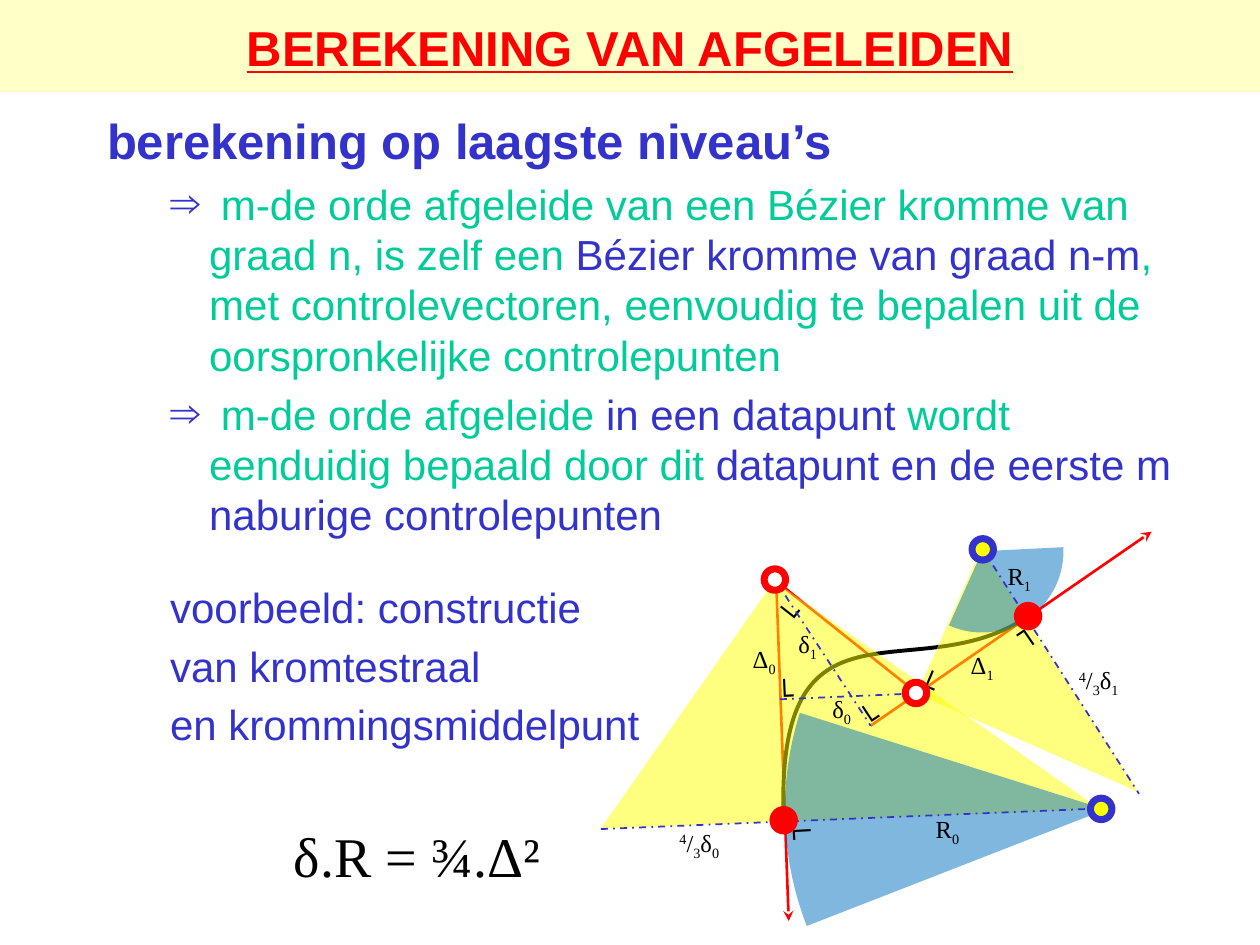
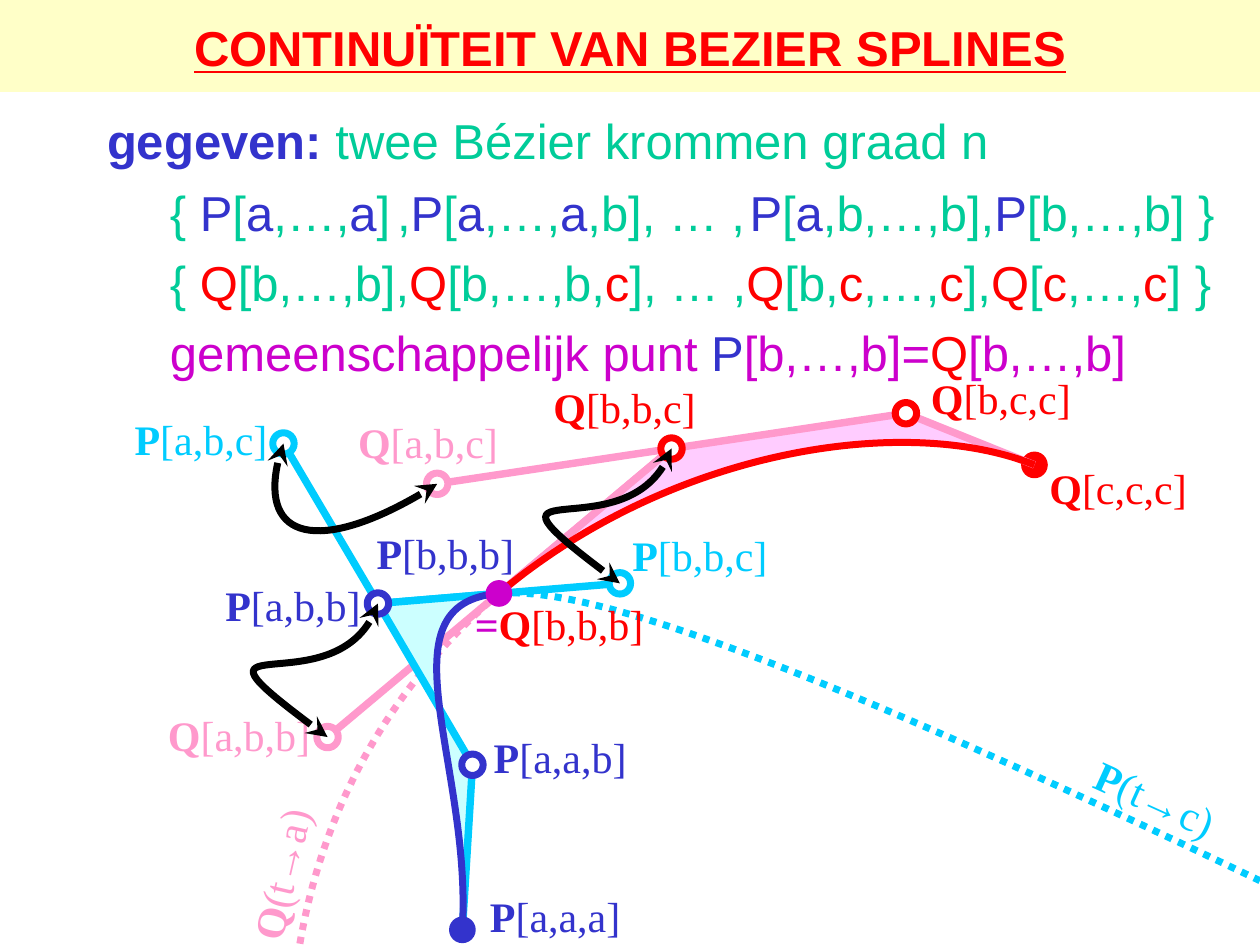
from itertools import groupby

from lxml import etree
from pptx import Presentation
from pptx.dml.color import RGBColor
from pptx.enum import dml, shapes, text
from pptx.oxml import ns
from pptx.util import Inches, Pt

BAND = RGBColor(0xFF, 0xFF, 0xC8)
RED = RGBColor(0xFF, 0, 0)
BLUE = RGBColor(0x33, 0x33, 0xCC)
GREEN = RGBColor(0, 0xCC, 0x99)
BLACK = RGBColor(0, 0, 0)
WHITE = RGBColor(0xFF, 0xFF, 0xFF)
YELLOW = RGBColor(0xFF, 0xFF, 0)
AZURE = RGBColor(0, 0x70, 0xC0)
CYAN = RGBColor(0, 0xCC, 0xFF)
PINK = RGBColor(0xFF, 0x99, 0xCC)
PLUM = RGBColor(0xCC, 0, 0xCC)
ICE = RGBColor(0xCC, 0xFF, 0xFF)
ROSE = RGBColor(0xFF, 0xCC, 0xFF)

SANS, SERIF = "Arial", "Times New Roman"
LEFT, MID, RIGHT = text.PP_ALIGN.LEFT, text.PP_ALIGN.CENTER, text.PP_ALIGN.RIGHT
KIND = shapes.MSO_SHAPE
DASH = dml.MSO_LINE


def add(node, tag, **attrs):
    return etree.SubElement(node, ns.qn(tag), attrs)


def write(para, parts, size=24, font=SERIF, align=LEFT, bold=False, line=False):
    para.alignment = align
    for words, tint, *more in parts:
        form = more[0] if more else {}
        run = para.add_run()
        run.text = words
        run.font.name = font
        run.font.size = Pt(form.get("size", size))
        run.font.bold = form.get("bold", bold)
        run.font.underline = line
        run.font.color.rgb = tint
        if form.get("base"):
            run._r.get_or_add_rPr().set("baseline", str(form["base"] * 1000))


def item(para, parts, level=1, mark=None, gap=None, size=24, **form):
    write(para, parts, size=size, font=SANS, **form)
    para.level = level
    para.space_before = Pt(gap or size * 0.2)
    props = para._p.get_or_add_pPr()
    edge, hang = ((0.38, -0.38), (0.81, -0.31))[level]
    props.set("marL", str(Inches(edge)))
    props.set("indent", str(Inches(hang)))
    if mark:
        add(add(props, "a:buClr"), "a:srgbClr", val=str(BLUE))
        add(props, "a:buChar", char=mark)
    else:
        add(props, "a:buNone")


def tint(words, marks, base):
    return [("".join(run), hue) for hue, run in groupby(words, lambda c: marks.get(c, base))]


def maths(code):
    parts, base = [], 0
    for char in code:
        if char in "^_":
            base = 30 if char == "^" else -25
        else:
            parts.append((char, BLACK, {"base": base}))
            base = 0
    return parts


def name(code, hue):
    return [(code[0], hue, {"bold": True}), (code[1:], hue)]


def stroke(shape, hue, width, dash=None, head=False, tail=False):
    shape.line.color.rgb = hue
    shape.line.width = Pt(width)
    if dash:
        shape.line.dash_style = dash
    line = shape.line._get_or_add_ln()
    for tag, shown in (("a:headEnd", head), ("a:tailEnd", tail)):
        if shown:
            add(line, tag, type="stealth")


class Pane:
    def __init__(self, slide, left, top):
        self.shapes, self.left, self.top = slide.shapes, left, top

    def spot(self, x, y):
        return Inches(self.left + x), Inches(self.top + y)

    def label(self, box, parts, turn=0, wrap=True, **form):
        x, y, wide, high = box
        frame = self.shapes.add_textbox(*self.spot(x, y), Inches(wide), Inches(high))
        frame.rotation = turn
        frame.text_frame.word_wrap = wrap
        write(frame.text_frame.paragraphs[0], parts, **form)

    def line(self, start, end, hue, width, **form):
        link = self.shapes.add_connector(
            shapes.MSO_CONNECTOR.STRAIGHT, *self.spot(*start), *self.spot(*end))
        stroke(link, hue, width, **form)
        add(link.element.spPr, "a:effectLst")

    def curve(self, points, hue=None, width=4, fill=None, **form):
        pen = self.shapes.build_freeform(*self.spot(*points[0]))
        pen.add_line_segments([self.spot(*p) for p in points[1:]], close=bool(fill))
        shape = pen.convert_to_shape()
        shape.shadow.inherit = False
        trail = next(shape.element.iter(ns.qn("a:path")))
        steps = trail.findall(ns.qn("a:lnTo"))[:3]
        bend = etree.Element(ns.qn("a:cubicBezTo"))
        steps[0].addprevious(bend)
        for step in steps:
            bend.append(step[0])
            trail.remove(step)
        if fill:
            shape.fill.solid()
            shape.fill.fore_color.rgb = fill
            shape.line.fill.background()
        else:
            shape.fill.background()
            stroke(shape, hue, width, **form)

    def dot(self, centre, fill, hue, width=4, size=0.17):
        x, y = centre
        shape = self.shapes.add_shape(
            KIND.OVAL, *self.spot(x - size / 2, y - size / 2), Inches(size), Inches(size))
        shape.shadow.inherit = False
        shape.fill.solid()
        shape.fill.fore_color.rgb = fill
        stroke(shape, hue, width)

    def glass(self, kind, box, hue, turn, flip="", angles=()):
        x, y, wide, high = box
        shape = self.shapes.add_shape(kind, *self.spot(x, y), Inches(wide), Inches(high))
        shape.shadow.inherit = False
        shape.rotation = turn
        for axis in flip:
            shape.element.spPr.xfrm.set("flip" + axis, "1")
        for place, angle in enumerate(angles):
            shape.adjustments[place] = angle
        shape.fill.solid()
        shape.fill.fore_color.rgb = hue
        add(next(shape.element.spPr.iter(ns.qn("a:srgbClr"))), "a:alpha", val="50000")
        shape.line.fill.background()


def place(shape, left, top, wide, high):
    shape.left, shape.top = Inches(left), Inches(top)
    shape.width, shape.height = Inches(wide), Inches(high)
    shape.text_frame.word_wrap = True
    shape.text_frame.auto_size = text.MSO_AUTO_SIZE.NONE
    return shape.text_frame


def start(deck, title):
    slide = deck.slides.add_slide(deck.slide_layouts[1])
    frame = place(slide.shapes.title, 0, 0, 10, 0.75)
    frame.vertical_anchor = text.MSO_ANCHOR.MIDDLE
    write(frame.paragraphs[0], [(title, RED)], size=28, font=SANS, align=MID, bold=True, line=True)
    return slide


def band(deck, slide):
    bar = slide.shapes.add_shape(KIND.RECTANGLE, 0, 0, deck.slide_width, Inches(0.73))
    bar.shadow.inherit = False
    bar.fill.solid()
    bar.fill.fore_color.rgb = BAND
    bar.line.fill.background()
    deck.slide_master.shapes.element.insert(2, bar.element)


def theory(slide, box):
    frame = place(slide.placeholders[1], *box)
    item(frame.paragraphs[0], [("berekening op laagste niveau’s", BLUE)], level=0, size=28, bold=True)
    rules = (
        [(" m-de orde afgeleide van een Bézier kromme van graad n, is zelf een ", GREEN),
         ("Bézier kromme van graad n-m", BLUE),
         (", met controlevectoren, eenvoudig te bepalen uit de oorspronkelijke controlepunten", GREEN)],
        [(" m-de orde afgeleide ", GREEN), ("in een datapunt", BLUE),
         (" wordt eenduidig bepaald door dit ", GREEN),
         ("datapunt en de eerste m naburige controlepunten", BLUE)])
    for rule in rules:
        item(frame.add_paragraph(), rule, mark="⇒")
    lines = "voorbeeld: constructie", "van kromtestraal", "en krommingsmiddelpunt"
    for words, gap in zip(lines, (24, None, None)):
        item(frame.add_paragraph(), [(words, BLUE)], gap=gap)


def radius(slide, left, top):
    pane = Pane(slide, left, top)
    first, last = (2.22, 2.51), (4.16, 0.89)
    near, far = (2.15, 0.6), (3.27, 1.5)
    hub, peak = (4.74, 2.42), (3.8, 0.36)

    def axis(a, b):
        pane.line(a, b, BLUE, 1, dash=DASH.DASH_DOT)

    def tag(x, y, wide, code):
        pane.label((x, y, wide, 0.34), maths(code), size=14, align=MID, wrap=False)

    def angle(x, y, turn):
        pane.label((x, y, 0.31, 0.5), [("˪", BLACK)], turn=turn, align=MID, wrap=False)

    pane.line((2.16, 0.6), (2.26, 3.31), RED, 1.5, tail=True)
    pane.line((2.91, 1.76), (5.14, 0.22), RED, 1.5, tail=True)
    pane.line((2.12, 0.58), (3.34, 1.55), RED, 1.5)
    pane.curve([first, near, far, last], BLACK, 2.25)

    pane.glass(KIND.RIGHT_TRIANGLE, (1.55, 0.92, 2.4, 3.16), YELLOW, 305, "HV")
    pane.glass(KIND.PIE, (2.23, -0.12, 5.09, 5.09), AZURE, 88, angles=(42.43, 65.73))
    tag(3.32, 2.41, 0.4, "R_0")
    tag(1.28, 2.52, 0.54, "^4/_3δ_0")
    angle(2.07, 0.55, 307.9)
    pane.dot(hub, YELLOW, BLUE)
    axis((2.19, 1.55), (3.35, 1.5))
    tag(2.5, 1.46, 0.36, "δ_0")
    tag(1.87, 1.06, 0.39, "Δ_0")
    angle(2.1, 1.15, 357.3)
    axis((0.77, 2.58), (4.65, 2.42))
    angle(2.27, 2.37, 86.9)

    pane.glass(KIND.RIGHT_TRIANGLE, (3.78, 0.36, 1.26, 1.92), YELLOW, 293.9, "V")
    pane.glass(KIND.PIE, (3.15, -0.27, 1.29, 1.29), AZURE, 325, angles=(19.28, 89.49))
    axis(peak, (5.04, 2.3))
    axis(near, (2.91, 1.76))
    tag(2.23, 0.94, 0.36, "δ_1")
    tag(3.89, 0.4, 0.4, "R_1")
    tag(4.45, 1.23, 0.54, "^4/_3δ_1")
    tag(3.6, 1.11, 0.39, "Δ_1")
    for x, y, turn in ((2.73, 1.35, 326.3), (3.28, 1.1, 23), (4.02, 0.88, 145.9)):
        angle(x, y, turn)
    pane.dot(peak, YELLOW, BLUE)
    for point, fill in ((near, WHITE), (last, RED), (first, RED), (far, WHITE)):
        pane.dot(point, fill, RED)


def given(slide, left, top, wide):
    frame = place(slide.placeholders[1], left, top, wide, 0.57)
    item(frame.paragraphs[0],
         [("gegeven: ", BLUE, {"bold": True}), ("twee Bézier krommen graad n", GREEN)],
         level=0, size=28)
    blue, red = dict.fromkeys("Pa", BLUE), dict.fromkeys("Qc", RED)
    rows = (
        tint("{ P[a,…,a]", blue, GREEN) + [(" ", GREEN, {"size": 14})]
        + tint(",P[a,…,a,b], … ,", blue, GREEN) + [(" ", GREEN, {"size": 9})]
        + tint("P[a,b,…,b],P[b,…,b] }", blue, GREEN),
        tint("{ Q[b,…,b],Q[b,…,b,c], … ,Q[b,c,…,c],Q[c,…,c] }", red, GREEN),
        tint("gemeenschappelijk punt P[b,…,b]=Q[b,…,b]", {"P": BLUE, "Q": RED}, PLUM))
    for row, parts in enumerate(rows):
        box = slide.shapes.add_textbox(0, 0, 0, 0)
        frame = place(box, left, top + 0.57 + 0.555 * row, wide, 0.57)
        item(frame.paragraphs[0], parts, size=28)


def splines(slide, left, top):
    pane = Pane(slide, left, top)
    paaa, paab, pabb, joint = (2.67, 4.38), (2.75, 3.07), (2, 1.79), (2.96, 1.71)
    pabc, pbbc = (1.25, 0.52), (3.92, 1.63)
    qabb, qabc = (1.6, 2.85), (2.47, 0.84)
    qbbc, qbcc, qccc = (4.33, 0.56), (6.19, 0.28), (7.21, 0.69)

    def tag(x, y, wide, code, hue, align=LEFT, high=0.45, turn=0):
        pane.label((x, y, wide, high), name(code, hue), align=align, turn=turn)

    def legs(hue, *points):
        for a, b in zip(points, points[1:]):
            pane.line(a, b, hue, 4.25)

    def rings(hue, *points):
        for point in points:
            pane.dot(point, WHITE, hue)

    pane.curve([(1.38, 4.49), (1.59, 3.27), (2.2, 2.36), joint], PINK, dash=DASH.ROUND_DOT)
    pane.curve([joint, (3.68, 1.65), (5.34, 2.24), (9, 3.99)], CYAN, dash=DASH.ROUND_DOT)
    tag(0.55, 3.73, 1.48, "Q(t→a)", PINK, RIGHT, 0.68, 283)
    tag(7.53, 3.1, 1.31, "P(t→c)", CYAN, LEFT, 0.68, 24.5)

    legs(PINK, qabc, qbbc, qabb)
    legs(CYAN, pbbc, pabb, pabc)
    rings(PINK, qabc, qabb)
    rings(CYAN, pbbc, pabc)
    tag(1.57, 0.26, 1.48, "Q[a,b,c]", PINK, RIGHT)
    tag(0.08, 2.58, 1.48, "Q[a,b,b]", PINK, RIGHT)
    tag(3.92, 1.15, 1.37, "P[b,b,c]", CYAN)
    tag(-0.03, 0.23, 1.37, "P[a,b,c]", CYAN)

    pane.curve([joint, pabb, paab, paaa, paab, pabb], fill=ICE)
    legs(CYAN, paaa, paab, pabb, joint)
    rings(BLUE, paab, pabb)
    pane.curve([paaa, paab, pabb, joint], BLUE)
    pane.dot(paaa, BLUE, BLUE, 3)
    tag(1.89, 1.14, 1.36, "P[b,b,b]", BLUE)
    tag(0.49, 1.55, 1.47, "P[a,b,b]", BLUE, RIGHT)
    tag(2.82, 2.76, 2.32, "P[a,a,b]", BLUE)
    tag(2.79, 4.02, 2.33, "P[a,a,a]", BLUE)

    pane.dot(qccc, RED, RED, 3)
    pane.curve([qccc, qbcc, qbbc, joint, qbbc, qbcc], fill=ROSE)
    legs(PINK, joint, qbbc, qbcc, qccc)
    rings(RED, qbbc, qbcc)
    tag(2, -0.02, 2.62, "Q[b,b,c]", RED, RIGHT)
    tag(6.29, -0.09, 1.32, "Q[b,c,c]", RED)
    tag(7.23, 0.62, 1.66, "Q[c,c,c]", RED)
    pane.label((2.67, 1.7, 1.66, 0.5), [("=", PLUM, {"bold": True})] + name("Q[b,b,b]", RED))
    pane.curve([joint, qbbc, qbcc, qccc], RED)
    pane.dot(joint, PLUM, PLUM, 3)

    for bend in ([pabb, (1.71, 2.66), (0.27, 1.88), qabb],
                 [pabc, (0.98, 1.26), (1.59, 1.41), qabc],
                 [qbbc, (4.03, 1.43), (2.59, 0.65), pbbc]):
        pane.curve(bend, BLACK, head=True, tail=True)


def main():
    deck = Presentation()
    deck.slide_width, deck.slide_height = Inches(10), Inches(7.5)

    slide = start(deck, "BEREKENING VAN AFGELEIDEN")
    band(deck, slide)
    theory(slide, (0.75, 0.83, 8.87, 5.5))
    radius(slide, 4, 4)
    Pane(slide, 2.22, 6.47).label(
        (0, 0, 2.18, 0.64), [("δ.R = ¾.Δ²", BLACK)], size=32, align=MID, wrap=False)

    slide = start(deck, "CONTINUÏTEIT VAN BEZIER SPLINES")
    given(slide, 0.75, 0.83, 9.25)
    splines(slide, 1, 3)
    deck.save("out.pptx")


if __name__ == "__main__":
    main()
